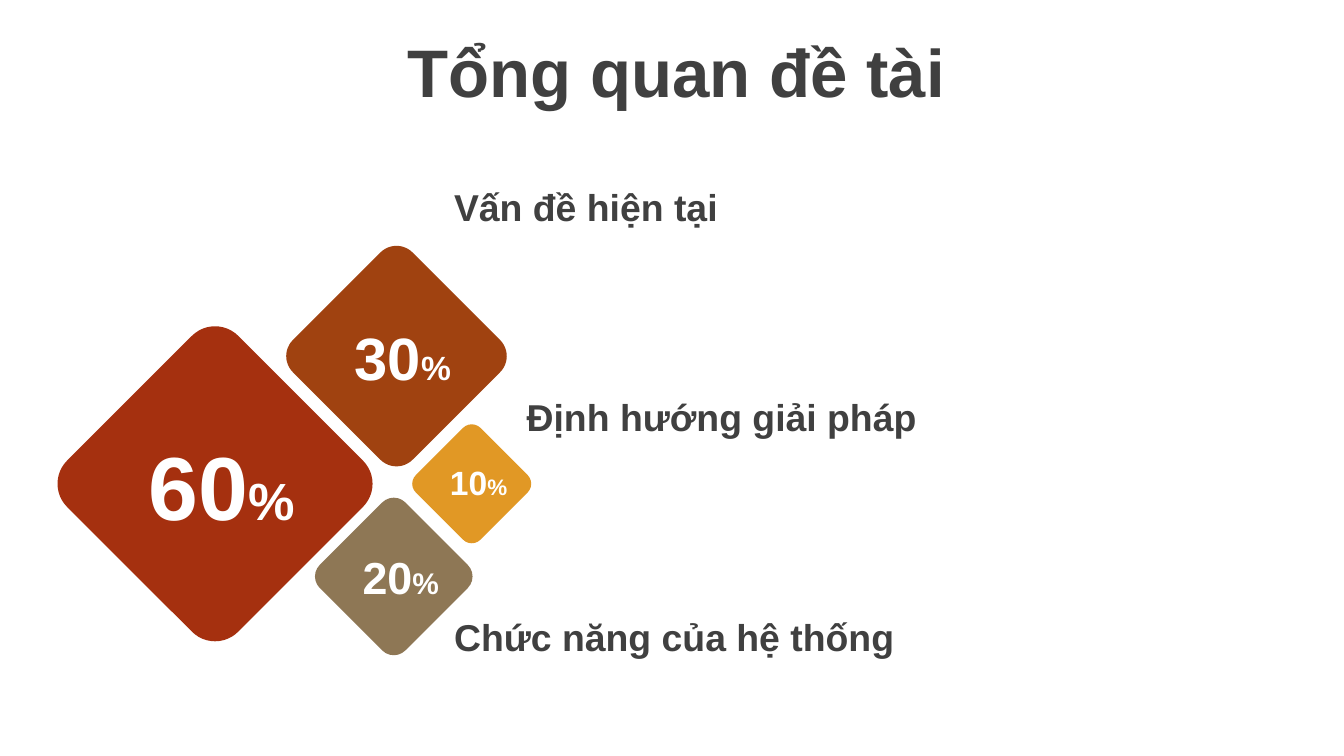
import dataclasses

import pptx
import pptx.dml.color
import pptx.enum.shapes
import pptx.enum.text
import pptx.util


@dataclasses.dataclass(frozen=True)
class Theme:
    """Colours, font and type sizes of the slide."""
    font: str = "Arial"
    ink: str = "404040"
    white: str = "FFFFFF"
    red: str = "A5300F"
    brown: str = "A04210"
    olive: str = "8E7755"
    amber: str = "E19825"
    title_size: int = 36
    label_size: int = 20


THEME = Theme()
COLUMNS, ROWS = 100, 56.25  # square grid cells, a tenth of an inch each
CELL = pptx.util.Inches(0.1)
CORNER = 0.135
LABEL_HEIGHT = 4.4

# centre column, centre row, side, colour
DIAMONDS = [
    (16, 36, 18, THEME.red),
    (29.5, 26.5, 12.6, THEME.brown),
    (29.3, 42.9, 9, THEME.olive),
    (35.1, 36, 6.8, THEME.amber),
]
# number, number size, sign size, box in grid cells
SHARES = [
    ("60", 48, 28, (10.1, 31.5, 13, 9.1)),
    ("30", 32, 18, (25.4, 23.3, 9.2, 6.4)),
    ("20", 24, 16, (26, 40.4, 8, 5)),
    ("10", 18, 12, (32.5, 33.9, 6.3, 4)),
]
# text, column, row, width
LABELS = [
    ("Vấn đề hiện tại", 32.8, 13.2, 23.2),
    ("Định hướng giải pháp", 38.2, 28.8, 31.5),
    ("Chức năng của hệ thống", 32.8, 45.2, 35.2),
]


def cells(*counts):
    """Turn counts of grid cells into lengths."""
    return [pptx.util.Emu(round(count * CELL)) for count in counts]


def write_text(shape, runs, color=THEME.ink, wrap=True, align="LEFT", before=0):
    """Write (text, size) runs as one bold, vertically centred paragraph."""
    frame = shape.text_frame
    frame.word_wrap = wrap
    frame.auto_size = pptx.enum.text.MSO_AUTO_SIZE.NONE
    frame.vertical_anchor = pptx.enum.text.MSO_ANCHOR.MIDDLE
    paragraph = frame.paragraphs[0]
    paragraph.alignment = pptx.enum.text.PP_ALIGN[align]
    paragraph.space_before = pptx.util.Pt(before)
    for text, size in runs:
        run = paragraph.add_run()
        run.text = text
        run.font.name = THEME.font
        run.font.size = pptx.util.Pt(size)
        run.font.bold = True
        run.font.color.rgb = pptx.dml.color.RGBColor.from_string(color)


def add_title(slide, text):
    """Place and fill the title placeholder."""
    title = slide.shapes.title
    title.left, title.top, title.width, title.height = cells(4.3, 2.1, 92.1, 6.3)
    write_text(title, [(text, THEME.title_size)], align="CENTER", before=7)


def add_diamond(slide, center_column, center_row, side, color):
    """Add a rounded square standing on its corner."""
    diamond = slide.shapes.add_shape(
        pptx.enum.shapes.MSO_SHAPE.ROUNDED_RECTANGLE,
        *cells(center_column - side / 2, center_row - side / 2, side, side))
    diamond.adjustments[0] = CORNER
    diamond.rotation = 45
    diamond.shadow.inherit = False
    diamond.fill.solid()
    diamond.fill.fore_color.rgb = pptx.dml.color.RGBColor.from_string(color)
    diamond.line.fill.background()


def add_text(slide, box, runs, **text_format):
    """Add a text box placed on the grid."""
    write_text(slide.shapes.add_textbox(*cells(*box)), runs, **text_format)


def main():
    """Build the overview slide and save it."""
    presentation = pptx.Presentation()
    presentation.slide_width, presentation.slide_height = cells(COLUMNS, ROWS)
    slide = presentation.slides.add_slide(presentation.slide_layouts[5])
    add_title(slide, "Tổng quan đề tài")
    for diamond in DIAMONDS:
        add_diamond(slide, *diamond)
    for number, size, sign_size, box in SHARES:
        add_text(slide, box, [(number, size), ("%", sign_size)],
                 color=THEME.white, wrap=False)
    for text, column, row, width in LABELS:
        add_text(slide, (column, row, width, LABEL_HEIGHT),
                 [(text, THEME.label_size)])
    presentation.save("out.pptx")


main()
